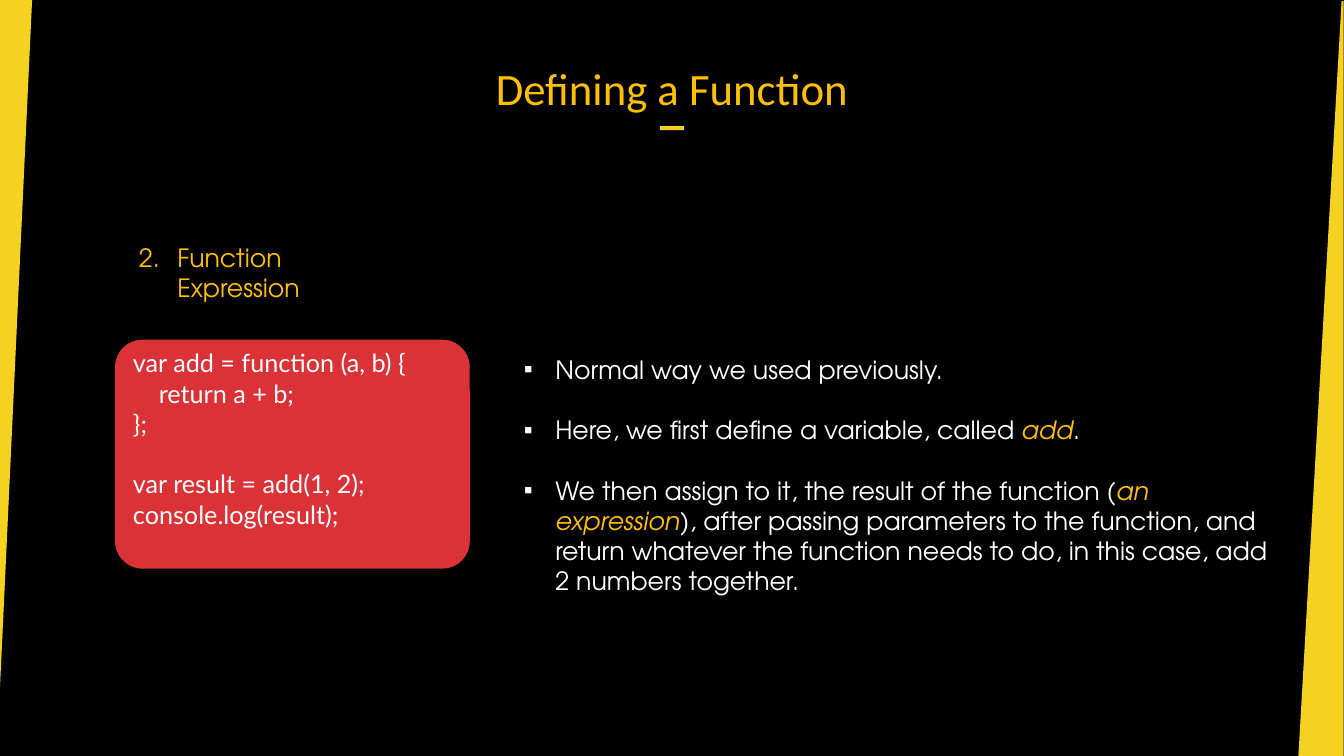
from lxml.etree import SubElement
from pptx import Presentation
from pptx.dml.color import RGBColor
from pptx.enum.shapes import MSO_SHAPE as SHAPE
from pptx.enum.text import MSO_ANCHOR as ANCHOR, MSO_AUTO_SIZE as AUTO, PP_ALIGN as ALIGN
from pptx.oxml.ns import qn
from pptx.util import Cm, Pt

COLORS = {"black": "000000", "yellow": "F5D121", "gold": "FFC000",
          "red": "DA3236", "white": "FFFFFF"}
HEAD, CODE, BODY = "Calibri", "Lato", "TeX Gyre Adventor"
LINE_GAP = 21.6


def add_run(p, text, font=BODY, size=18, color="white", italic=False):
    r = p.add_run()
    r.text = text
    r.font.name, r.font.size, r.font.italic = font, Pt(size), italic
    r.font.color.rgb = RGBColor.from_string(COLORS[color])


def set_list(p, hang, tag, **attrs):
    pPr = p._p.get_or_add_pPr()
    pPr.set("marL", str(Cm(hang)))
    pPr.set("indent", str(-Cm(hang)))
    SubElement(pPr, qn("a:buFont"), typeface="Arial")
    SubElement(pPr, qn(tag), **attrs)


prs = Presentation()
prs.slide_width, prs.slide_height = Cm(33.87), Cm(19.05)
s = prs.slides.add_slide(prs.slide_layouts[1])
s.background.fill.solid()
s.background.fill.fore_color.rgb = RGBColor.from_string(COLORS["black"])

# Slanted side bands
bands = [
    [(-0.13, 0), (0.81, 0), (-0.08, 19.05), (-0.13, 19.05)],
    [(33.81, 0.03), (33.86, 0.03), (33.86, 19.08), (32.72, 19.08)],
]
filled = []
for points in bands:
    corners = [(Cm(x), Cm(y)) for x, y in points]
    builder = s.shapes.build_freeform(*corners[0])
    builder.add_line_segments(corners[1:], close=True)
    filled.append((builder.convert_to_shape(), "yellow"))

# Title underline and code box
underline = s.shapes.add_shape(SHAPE.RECTANGLE, Cm(16.63), Cm(3.18), Cm(0.61), Cm(0.1))
code_box = s.shapes.add_shape(SHAPE.ROUNDED_RECTANGLE, Cm(2.9), Cm(8.56), Cm(8.94), Cm(5.77))
code_box.adjustments[0] = 0.12
filled += [(underline, "yellow"), (code_box, "red")]
for sp, color in filled:
    sp.shadow.inherit = False
    sp.fill.solid()
    sp.fill.fore_color.rgb = RGBColor.from_string(COLORS[color])
    sp.line.fill.background()

# Title
title = s.shapes.title
title.left, title.top, title.width, title.height = Cm(7.7), Cm(0.99), Cm(18.47), Cm(1.9)
tf = title.text_frame
tf.auto_size = AUTO.NONE
tf.vertical_anchor = ANCHOR.BOTTOM
tf.margin_top, tf.margin_bottom = Cm(0.1), 0
tf.paragraphs[0].alignment = ALIGN.CENTER
add_run(tf.paragraphs[0], "Defining a Function", font=HEAD, size=32, color="gold")

# Numbered heading
heading = s.shapes.add_textbox(Cm(3.25), Cm(5.97), Cm(7.29), Cm(1.78))
tf = heading.text_frame
tf.word_wrap = True
tf.margin_right = Cm(1)
add_run(tf.paragraphs[0], "Function Expression", color="gold")
set_list(tf.paragraphs[0], 0.97, "a:buAutoNum", type="arabicPeriod", startAt="2")

# Code: text, left indent in cm, space before in points
code = [
    ("var add = function (a, b) {", 0, 0),
    ("return a + b;", 0.65, 0),
    ("};", 0, 0),
    ("var result = add(1, 2);", 0, LINE_GAP),
    ("console.log(result);", 0, 0),
]
tf = code_box.text_frame
tf.word_wrap = True
tf.vertical_anchor = ANCHOR.TOP
tf.margin_top = tf.margin_bottom = 0
for i, (text, indent, gap) in enumerate(code):
    p = tf.add_paragraph() if i else tf.paragraphs[0]
    p.alignment = ALIGN.LEFT
    p.space_before = Pt(gap)
    p._p.get_or_add_pPr().set("marL", str(Cm(indent)))
    add_run(p, text, font=CODE)

# Explanation: every second piece is emphasised
notes = [
    ["Normal way we used previously."],
    ["Here, we first define a variable, called ", "add", "."],
    ["We then assign to it, the result of the function (", "an expression",
     "), after passing parameters to the function, and return whatever the function "
     "needs to do, in this case, add 2 numbers together."],
]
body = s.placeholders[1]
body.left, body.top, body.width, body.height = Cm(12.95), Cm(8.79), Cm(19.76), Cm(5.64)
tf = body.text_frame
tf.auto_size = AUTO.NONE
tf.vertical_anchor = ANCHOR.TOP
for i, pieces in enumerate(notes):
    p = tf.add_paragraph() if i else tf.paragraphs[0]
    p.space_before = Pt(LINE_GAP if i else 0)
    set_list(p, 0.79, "a:buChar", char="▪")
    for j, text in enumerate(pieces):
        strong = j % 2 == 1
        add_run(p, text, color="gold" if strong else "white", italic=strong)

prs.save("out.pptx")
